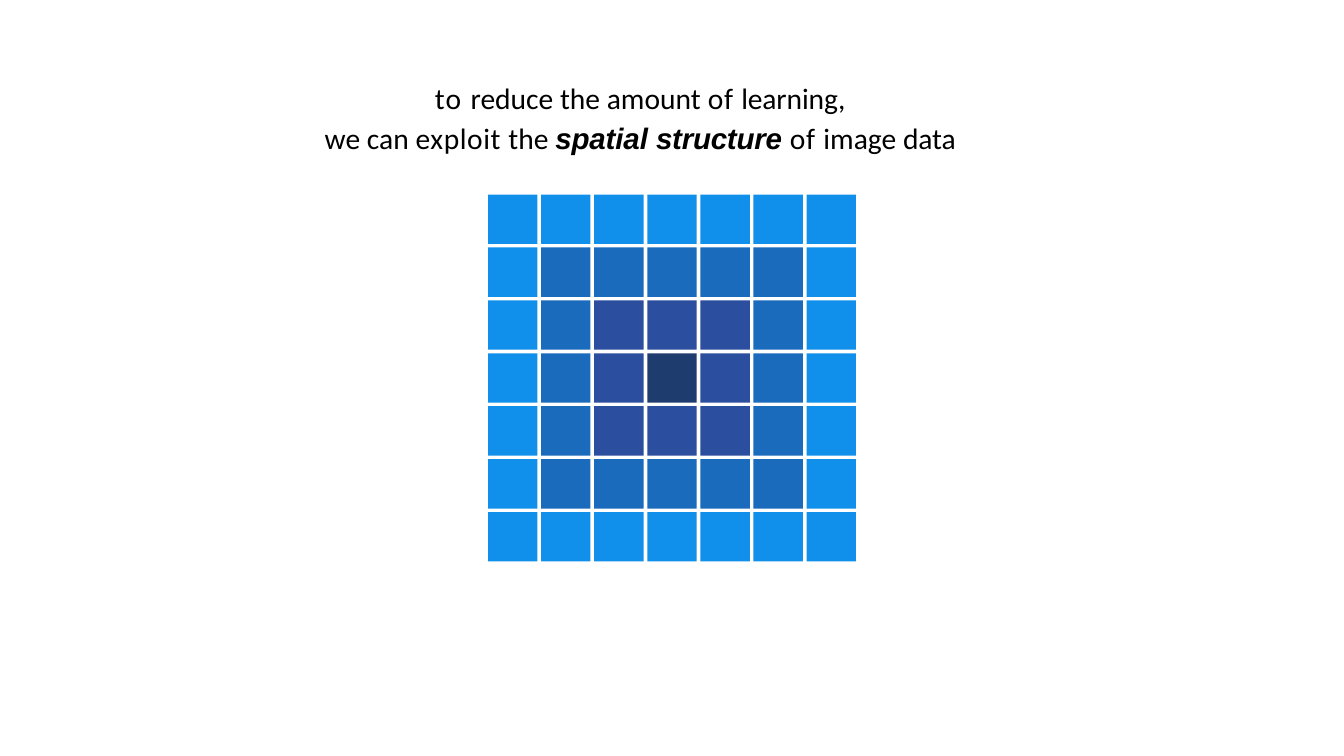
from dataclasses import dataclass
from itertools import product

from pptx import Presentation
from pptx.dml.color import RGBColor as Color
from pptx.enum.shapes import MSO_SHAPE as Shape
from pptx.enum.text import MSO_ANCHOR as Anchor, PP_ALIGN as Align
from pptx.util import Inches, Pt


@dataclass(frozen=True)
class Theme:
    ink: str = "000000"
    rings: tuple = ("1E3C6E", "2C4E9E", "1B6BBC", "1190EB")
    body: str = "Calibri"
    accent: str = "Arial"
    size: float = 21.1
    gap: float = 3.5


THEME = Theme()
COUNT = 7
CELL = 0.49
LEFT, TOP = 4.84, 1.93
STEP_X, STEP_Y = 3.16 / (COUNT - 1), 3.15 / (COUNT - 1)

LINES = (
    (("to ", 0.9, False), ("reduce the amount ", 0, False),
     ("of ", 0.5, False), ("learning,", -0.1, False)),
    (("we can ", 0, False), ("exploit ", 0.4, False), ("the ", 0, False),
     ("spatial ", -0.1, True), ("structure ", -0.2, True),
     ("of ", 0.5, False), ("image ", 0, False), ("data", -0.1, False)),
)


def add_run(para, text, space, strong):
    run = para.add_run()
    run.text = text
    font = run.font
    font.name = THEME.accent if strong else THEME.body
    font.size = Pt(THEME.size)
    font.bold = font.italic = strong
    font.color.rgb = Color.from_string(THEME.ink)
    if space:
        run._r.get_or_add_rPr().set("spc", str(round(space * 100)))


def add_title(slide, lines, left, top, width, height):
    box = slide.shapes.add_textbox(
        Inches(left), Inches(top), Inches(width), Inches(height))
    frame = box.text_frame
    frame.word_wrap = True
    frame.vertical_anchor = Anchor.TOP
    frame.margin_left = frame.margin_right = 0
    frame.margin_top = frame.margin_bottom = 0
    for i, line in enumerate(lines):
        para = frame.add_paragraph() if i else frame.paragraphs[0]
        para.alignment = Align.CENTER
        if i:
            para.space_before = Pt(THEME.gap)
        for part in line:
            add_run(para, *part)


def add_cell(slide, row, col):
    cell = slide.shapes.add_shape(
        Shape.RECTANGLE, Inches(LEFT + col * STEP_X),
        Inches(TOP + row * STEP_Y), Inches(CELL), Inches(CELL))
    mid = COUNT // 2
    ring = max(abs(row - mid), abs(col - mid))
    cell.shadow.inherit = False
    cell.fill.solid()
    cell.fill.fore_color.rgb = Color.from_string(THEME.rings[ring])
    cell.line.fill.background()


def main():
    deck = Presentation()
    deck.slide_width, deck.slide_height = Inches(13.33), Inches(7.5)
    slide = deck.slides.add_slide(deck.slide_layouts[6])
    add_title(slide, LINES, 2.31, 0.79, 8.08, 0.77)
    for row, col in product(range(COUNT), repeat=2):
        add_cell(slide, row, col)
    deck.save("out.pptx")


if __name__ == "__main__":
    main()
